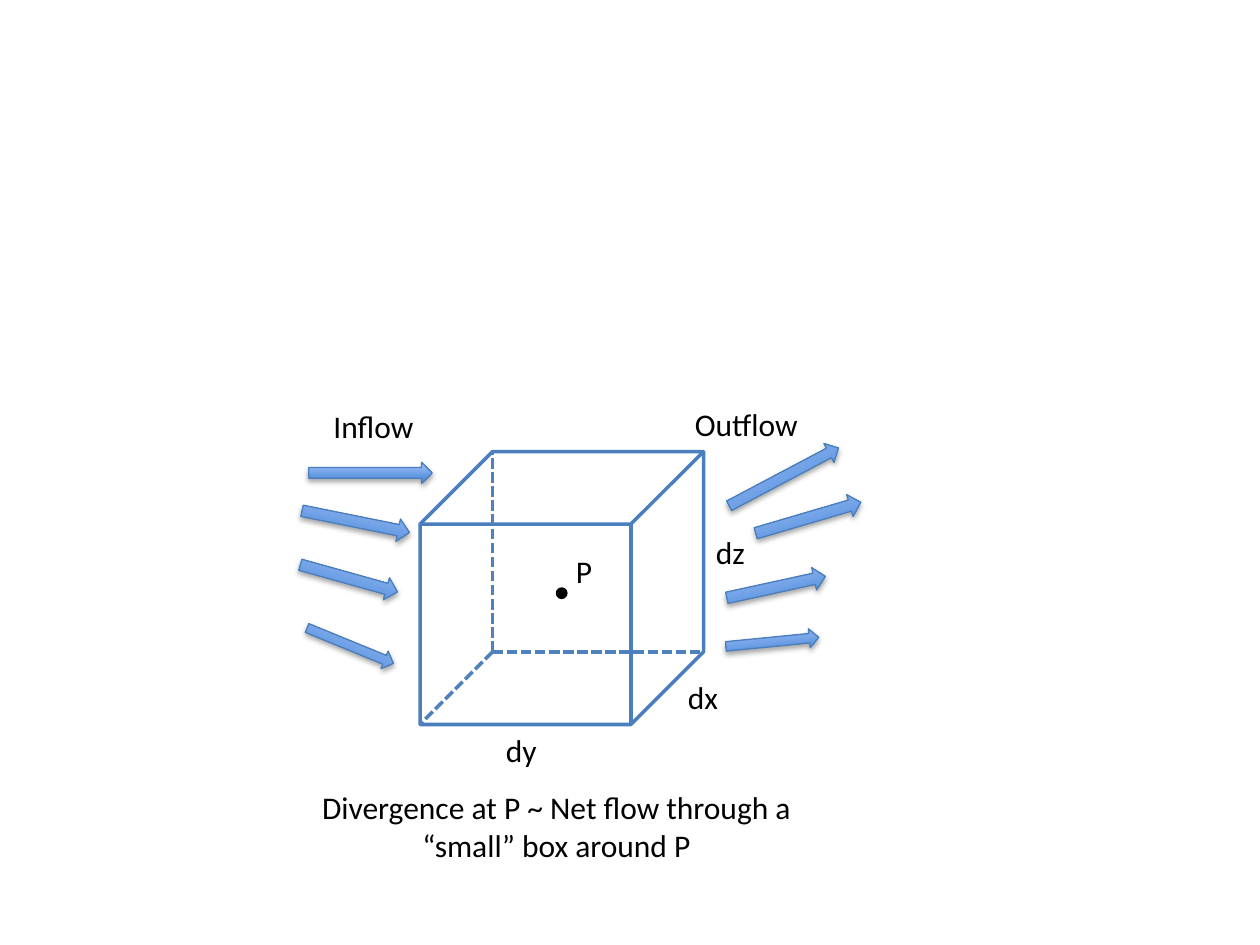
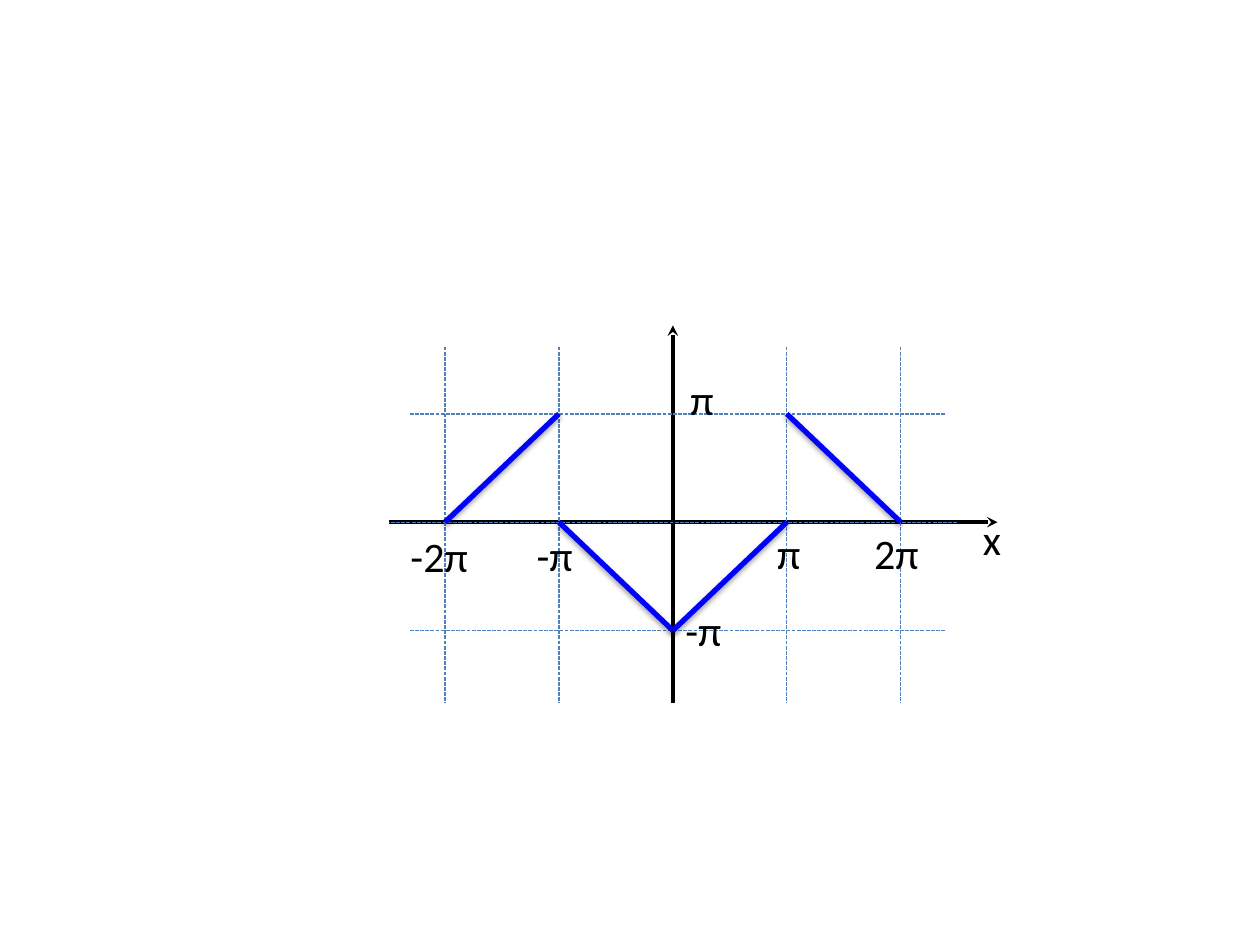
from pptx import Presentation
from pptx.dml.color import RGBColor
from pptx.enum.dml import MSO_LINE
from pptx.enum.shapes import MSO_CONNECTOR, MSO_SHAPE
from pptx.enum.text import MSO_AUTO_SIZE, PP_ALIGN
from pptx.oxml import parse_xml
from pptx.oxml.ns import nsdecls
from pptx.util import Pt

STRAIGHT = MSO_CONNECTOR.STRAIGHT
DASH = MSO_LINE.SQUARE_DOT
CUBE, ARROW, OVAL = MSO_SHAPE.CUBE, MSO_SHAPE.RIGHT_ARROW, MSO_SHAPE.OVAL
LEFT, CENTER = PP_ALIGN.LEFT, PP_ALIGN.CENTER
GROW = MSO_AUTO_SIZE.SHAPE_TO_FIT_TEXT

FONT = "Calibri"
BLACK, EDGE, GUIDE, CURVE = "000000", "4B7EBC", "4F81BD", "0000FF"
ARROW_STOPS = ("3F80CE", "A4C4FF")
rgb = RGBColor.from_string


def set_shadow(shape, distance=0, alpha=0):
    """Drop a soft shadow straight down, or none when alpha is 0."""
    shadow = (
        f'<a:outerShdw blurRad="{Pt(3.1)}" dist="{Pt(distance)}" dir="5400000" rotWithShape="0">'
        f'<a:srgbClr val="{BLACK}"><a:alpha val="{alpha * 1000}"/></a:srgbClr></a:outerShdw>'
    ) if alpha else ""
    shape._element.spPr.append(
        parse_xml(f'<a:effectLst {nsdecls("a")}>{shadow}</a:effectLst>'))


def add_line(s, start, end, color, width, dash=None, head=False, alpha=0):
    c = s.shapes.add_connector(STRAIGHT, *[Pt(v) for v in (*start, *end)])
    c.line.color.rgb = rgb(color)
    c.line.width = Pt(width)
    if dash:
        c.line.dash_style = dash
    if head:
        c.line._get_or_add_ln().append(
            parse_xml(f'<a:tailEnd {nsdecls("a")} type="stealth"/>'))
    set_shadow(c, 1.6, alpha)


prs = Presentation()
prs.slide_width, prs.slide_height = Pt(720), Pt(540)
blank = prs.slide_layouts[6]

# Slide 1: flow through a small box
box_slide = s = prs.slides.add_slide(blank)
left, top, width, height, depth = 240, 258, 162, 156, 41.5
right, bottom = left + width, top + height

cube = s.shapes.add_shape(CUBE, Pt(left), Pt(top), Pt(width), Pt(height))
cube.adjustments[0] = depth / height
cube.fill.background()
cube.line.color.rgb = rgb(EDGE)
cube.line.width = Pt(2)
cube.shadow.inherit = False

hidden_corner = (left + depth, bottom - depth)
for corner in ((left + depth, top), (right, bottom - depth), (left, bottom)):
    add_line(s, hidden_corner, corner, GUIDE, 2, DASH)

# Length, thickness, then left, top and rotation of the inflow and outflow arrows
flows = [
    (70.6, 12.2, (176.4, 264.2, 0), (412.6, 266.4, 332.1)),
    (62.6, 13, (172, 291.6, 11.4), (430.6, 289.4, 343.6)),
    (57.6, 13, (170.6, 324, 15.6), (414.7, 329, 347.7)),
    (53.3, 10.8, (173.5, 363.6, 22.3), (414.7, 361.4, 354.4)),
]
for length, thickness, *places in flows:
    for x, y, rotation in places:
        arrow = s.shapes.add_shape(ARROW, Pt(x), Pt(y), Pt(length), Pt(thickness))
        arrow.rotation = rotation
        arrow.fill.gradient()
        arrow.fill.gradient_angle = 90
        for stop, color, position in zip(arrow.fill.gradient_stops, ARROW_STOPS, (0, 1)):
            stop.color.rgb = rgb(color)
            stop.position = position
        arrow.line.color.rgb = rgb(EDGE)
        arrow.line.width = Pt(0.75)
        set_shadow(arrow, 1.8, 35)

point = s.shapes.add_shape(OVAL, Pt(318), Pt(336), Pt(6), Pt(6))
point.fill.solid()
point.fill.fore_color.rgb = rgb(BLACK)
point.line.color.rgb = rgb(BLACK)
point.line.width = Pt(0.75)
point.shadow.inherit = False

# Slide 2: piecewise linear function of x
graph_slide = s = prs.slides.add_slide(blank)
origin_x, origin_y = origin = (384.5, 298.4)
step_x, step_y = 65.1, 61.9

add_line(s, origin, (origin_x, 186), BLACK, 2, head=True)
add_line(s, origin, (570, origin_y), BLACK, 2, head=True)
add_line(s, origin, (origin_x, 402), BLACK, 2.25)
add_line(s, origin, (222.5, origin_y), BLACK, 2.25)

for k in (-2, -1, 1, 2):
    x = origin_x + k * step_x
    add_line(s, (x, 198), (x, 402), GUIDE, 0.75, DASH)
for k, x1, x2 in ((1, 234, 540), (0, 222.5, 547), (-1, 234, 540)):
    y = origin_y - k * step_y
    add_line(s, (x2, y), (x1, y), GUIDE, 0.75, DASH)

# Segment ends in units of π
for segment in (((-2, 0), (-1, 1)), ((-1, 0), (0, -1)), ((0, -1), (1, 0)), ((1, 1), (2, 0))):
    start, end = [(origin_x + x * step_x, origin_y - y * step_y) for x, y in segment]
    add_line(s, start, end, CURVE, 3, alpha=38)

# Labels of both slides: text, left, top, width, alignment
box_labels = [
    ("dy", 282, 414, 34, LEFT),
    ("dx", 386, 384, 34, LEFT),
    ("dz", 402, 301, 34, LEFT),
    ("P", 322, 312, 26.5, LEFT),
    ("Inflow", 183.5, 229, 63.5, LEFT),
    ("Outflow", 390, 228, 77, LEFT),
    ("Divergence at P ~ Net flow through a\n“small” box around P", 162, 447, 312, CENTER),
]
graph_labels = [
    ("x", 554.5, 290, 26.5, LEFT),
    ("-2π", 227.5, 299.5, 52.5, LEFT),
    ("-π", 299.5, 299, 39.5, LEFT),
    ("π", 437, 298, 31, LEFT),
    ("2π", 492.5, 298, 44.5, LEFT),
    ("π", 387.5, 210, 31, LEFT),
    ("-π", 384.5, 342, 39.5, LEFT),
]
for s, size, labels in ((box_slide, 18, box_labels), (graph_slide, 24, graph_labels)):
    for text, x, y, width, align in labels:
        lines = text.split("\n")
        tb = s.shapes.add_textbox(Pt(x), Pt(y), Pt(width), Pt(7 + 1.2 * size * len(lines)))
        tf = tb.text_frame
        tf.word_wrap = False
        tf.auto_size = GROW
        tf.text = text
        for p in tf.paragraphs:
            p.alignment = align
            font = p.runs[0].font
            for name, value in {"name": FONT, "size": Pt(size)}.items():
                setattr(font, name, value)
            font.color.rgb = rgb(BLACK)

prs.save("out.pptx")
